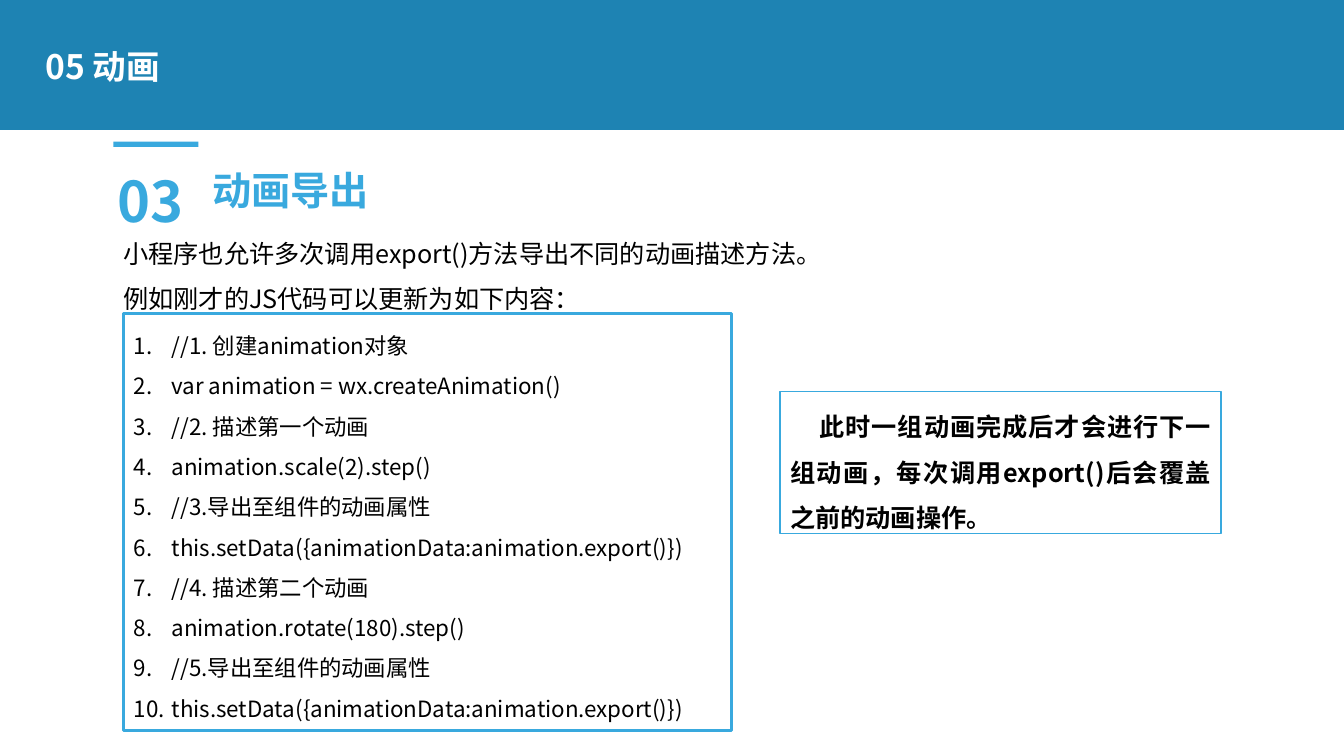
from lxml.etree import SubElement
from pptx import Presentation
from pptx.dml.color import RGBColor
from pptx.enum.shapes import MSO_SHAPE
from pptx.enum.text import MSO_ANCHOR, MSO_AUTO_SIZE, PP_ALIGN
from pptx.oxml.ns import qn
from pptx.util import Pt

EMU_PER_PX = 9525
FONT = "Noto Sans CJK SC"
BAND, ACCENT, WHITE, BLACK = "1E83B3", "39A9DE", "FFFFFF", "000000"

INTRO = [
    "小程序也允许多次调用export()方法导出不同的动画描述方法。",
    "例如刚才的JS代码可以更新为如下内容：",
]
CODE = [
    "//1. 创建animation对象",
    "var animation = wx.createAnimation()",
    "//2. 描述第一个动画",
    "animation.scale(2).step()",
    "//3.导出至组件的动画属性",
    "this.setData({animationData:animation.export()})",
    "//4. 描述第二个动画",
    "animation.rotate(180).step()",
    "//5.导出至组件的动画属性",
    "this.setData({animationData:animation.export()})",
]
NOTE = ["此时一组动画完成后才会进行下一组动画，每次调用export()后会覆盖之前的动画操作。"]


def px(length):
    """Turn whole pixels into EMU."""
    return length * EMU_PER_PX


def color(value):
    """Turn a hex string into a colour."""
    return RGBColor.from_string(value)


class SlideBuilder:
    """Holds the style and the current slide."""

    def __init__(self, presentation, background):
        """Add a blank slide with a solid background."""
        self.slide = presentation.slides.add_slide(presentation.slide_layouts[6])
        fill = self.slide.background.fill
        fill.solid()
        fill.fore_color.rgb = color(background)

    def rectangle(self, box, fill, line=None, line_width=1):
        """Add a flat rectangle with an optional outline."""
        shape = self.slide.shapes.add_shape(MSO_SHAPE.RECTANGLE, *map(px, box))
        shape.shadow.inherit = False
        shape.fill.solid()
        shape.fill.fore_color.rgb = color(fill)
        if line:
            shape.line.color.rgb = color(line)
            shape.line.width = Pt(line_width)
        else:
            shape.line.fill.background()
        return shape

    def text_box(self, box, lines, size, **style):
        """Add a text box and set its lines."""
        shape = self.slide.shapes.add_textbox(*map(px, box))
        self.set_text(shape, lines, size, **style)

    def set_text(self, shape, lines, size, font_color=BLACK, bold=False, spacing=1.5,
                 align=PP_ALIGN.LEFT, anchor=MSO_ANCHOR.TOP, wrap=True, grow=True,
                 margin=0, indent=0, numbered=False):
        """Fill a shape with formatted paragraphs."""
        frame = shape.text_frame
        frame.text = "\n".join(lines)
        frame.word_wrap = wrap
        frame.vertical_anchor = anchor
        frame.auto_size = MSO_AUTO_SIZE.SHAPE_TO_FIT_TEXT if grow else MSO_AUTO_SIZE.NONE
        for paragraph in frame.paragraphs:
            paragraph.alignment = align
            paragraph.line_spacing = spacing
            properties = paragraph._p.get_or_add_pPr()
            properties.set("marL", str(px(margin)))
            properties.set("indent", str(px(indent)))
            if numbered:
                SubElement(properties, qn("a:buFont"), typeface="+mj-lt")
                SubElement(properties, qn("a:buAutoNum"), type="arabicPeriod")
            for run in paragraph.runs:
                run.font.size = Pt(size)
                run.font.bold = bold
                run.font.color.rgb = color(font_color)
                run.font.name = FONT
                SubElement(run._r.get_or_add_rPr(), qn("a:ea"), typeface=FONT)


def main():
    """Build the slide and save it."""
    presentation = Presentation()
    presentation.slide_width = px(1280)
    presentation.slide_height = px(720)
    builder = SlideBuilder(presentation, BAND)

    builder.rectangle((0, 124, 1280, 596), WHITE)
    builder.text_box((34, 27, 557, 76), ["05 动画"], 24, font_color=WHITE, bold=True,
                     spacing=0.9, anchor=MSO_ANCHOR.MIDDLE, grow=False)
    builder.rectangle((108, 135, 81, 5), ACCENT)
    builder.text_box((108, 208, 1055, 97), INTRO, 18)

    heading_style = {"font_color": ACCENT, "bold": True, "spacing": 1.3, "wrap": False}
    builder.text_box((193, 140, 170, 62), ["动画导出"], 28, **heading_style)
    builder.text_box((102, 135, 85, 85), ["03"], 40, **heading_style)

    code_panel = builder.rectangle((118, 299, 579, 397), WHITE, ACCENT, 2.25)
    builder.set_text(code_panel, CODE, 16, margin=36, indent=-36, numbered=True)
    note_panel = builder.rectangle((743, 373, 420, 135), WHITE, ACCENT)
    builder.set_text(note_panel, NOTE, 18, bold=True, align=PP_ALIGN.JUSTIFY, indent=28)

    presentation.save("out.pptx")


if __name__ == "__main__":
    main()
